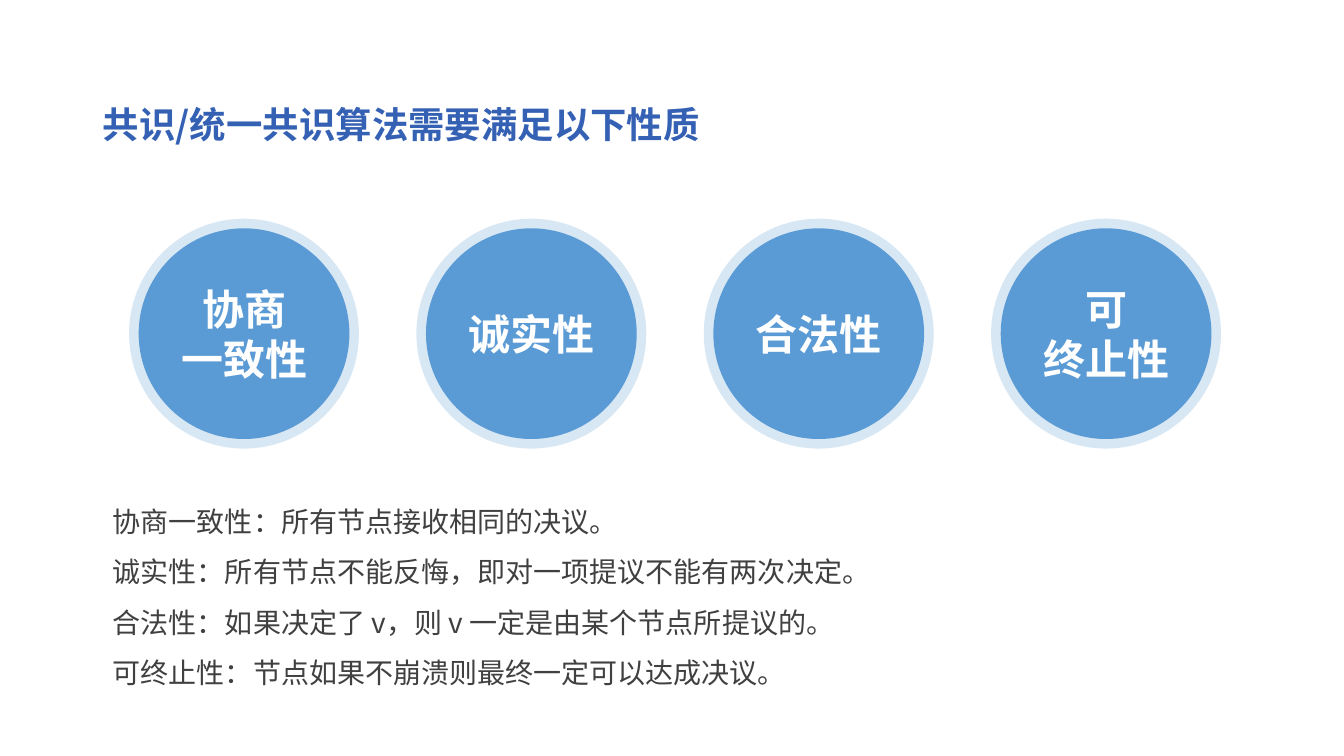
import dataclasses
import typing

import lxml.etree
import pptx
import pptx.dml.color
import pptx.enum.shapes
import pptx.enum.text
import pptx.oxml.ns
import pptx.util

Inches = pptx.util.Inches
Align = pptx.enum.text.PP_ALIGN
Anchor = pptx.enum.text.MSO_ANCHOR
Fit = pptx.enum.text.MSO_AUTO_SIZE
OVAL = pptx.enum.shapes.MSO_SHAPE.OVAL


@dataclasses.dataclass(frozen=True)
class Theme:
    font: str = "Noto Sans CJK SC"
    title: str = "3561B4"
    body: str = "404040"
    disc: str = "5B9BD5"
    label: str = "FFFFFF"
    title_size: int = 26
    body_size: int = 20
    label_size: int = 30
    halo_alpha: int = 24


@dataclasses.dataclass(frozen=True)
class Badge:
    lines: tuple[str, ...]
    left: float


THEME = Theme()
TITLE = "共识/统一共识算法需要满足以下性质"
LABELS = (("协商", "一致性"), ("诚实性",), ("合法性",), ("可", "终止性"))
NOTES = (
    "协商一致性：所有节点接收相同的决议。",
    "诚实性：所有节点不能反悔，即对一项提议不能有两次决定。",
    "合法性：如果决定了 v，则 v 一定是由某个节点所提议的。",
    "可终止性：节点如果不崩溃则最终一定可以达成决议。",
)
START, STEP, TOP = 1.28, 2.85, 2.17
HALO, DISC = 2.28, 2.09
BADGES = [Badge(lines, START + i * STEP) for i, lines in enumerate(LABELS)]


def write(frame: typing.Any, lines: typing.Sequence[str], *, size: int,
          color: str, bold: bool = False, align: Align = Align.LEFT,
          anchor: Anchor = Anchor.TOP, space: float = 1.0,
          fit: Fit = Fit.SHAPE_TO_FIT_TEXT) -> None:
    frame.word_wrap = True
    frame.auto_size = fit
    frame.vertical_anchor = anchor
    for i, line in enumerate(lines):
        para = frame.add_paragraph() if i else frame.paragraphs[0]
        para.alignment = align
        para.line_spacing = space
        run = para.add_run()
        run.text = line
        run.font.size = pptx.util.Pt(size)
        run.font.bold = bold
        run.font.color.rgb = pptx.dml.color.RGBColor.from_string(color)
        run.font.name = THEME.font
        lines_font = lxml.etree.SubElement(
            run._r.get_or_add_rPr(), pptx.oxml.ns.qn("a:ea"))
        lines_font.set("typeface", THEME.font)


def circle(group: typing.Any, left: float, top: float, size: float,
           alpha: int = 100) -> typing.Any:
    shape = group.shapes.add_shape(
        OVAL, Inches(left), Inches(top), Inches(size), Inches(size))
    shape.shadow.inherit = False
    shape.line.fill.background()
    shape.fill.solid()
    shape.fill.fore_color.rgb = pptx.dml.color.RGBColor.from_string(THEME.disc)
    if alpha < 100:
        color = shape.fill._xPr.find(".//" + pptx.oxml.ns.qn("a:srgbClr"))
        node = lxml.etree.SubElement(color, pptx.oxml.ns.qn("a:alpha"))
        node.set("val", str(alpha * 1000))
    return shape


def draw(slide: typing.Any, badge: Badge) -> None:
    """Draw a labelled disc centred on its pale halo."""
    group = slide.shapes.add_group_shape()
    inset = (HALO - DISC) / 2
    circle(group, badge.left, TOP, HALO, THEME.halo_alpha)
    disc = circle(group, badge.left + inset, TOP + inset, DISC)
    frame = disc.text_frame
    frame.margin_left = frame.margin_right = 0
    write(frame, badge.lines, size=THEME.label_size, color=THEME.label,
          bold=True, align=Align.CENTER, anchor=Anchor.MIDDLE, fit=Fit.NONE)


def main() -> None:
    deck = pptx.Presentation()
    deck.slide_width, deck.slide_height = Inches(13.33), Inches(7.5)
    slide = deck.slides.add_slide(deck.slide_layouts.get_by_name("Title Only"))

    title = slide.shapes.title
    title.left, title.top = Inches(0.92), Inches(0.96)
    title.width, title.height = Inches(6.95), Inches(0.54)
    write(title.text_frame, [TITLE], size=THEME.title_size,
          color=THEME.title, bold=True)

    notes = slide.shapes.add_textbox(
        Inches(1.02), Inches(4.79), Inches(11.29), Inches(2.06))
    write(notes.text_frame, NOTES, size=THEME.body_size,
          color=THEME.body, space=1.5)

    for badge in BADGES:
        draw(slide, badge)
    deck.save("out.pptx")


if __name__ == "__main__":
    main()
